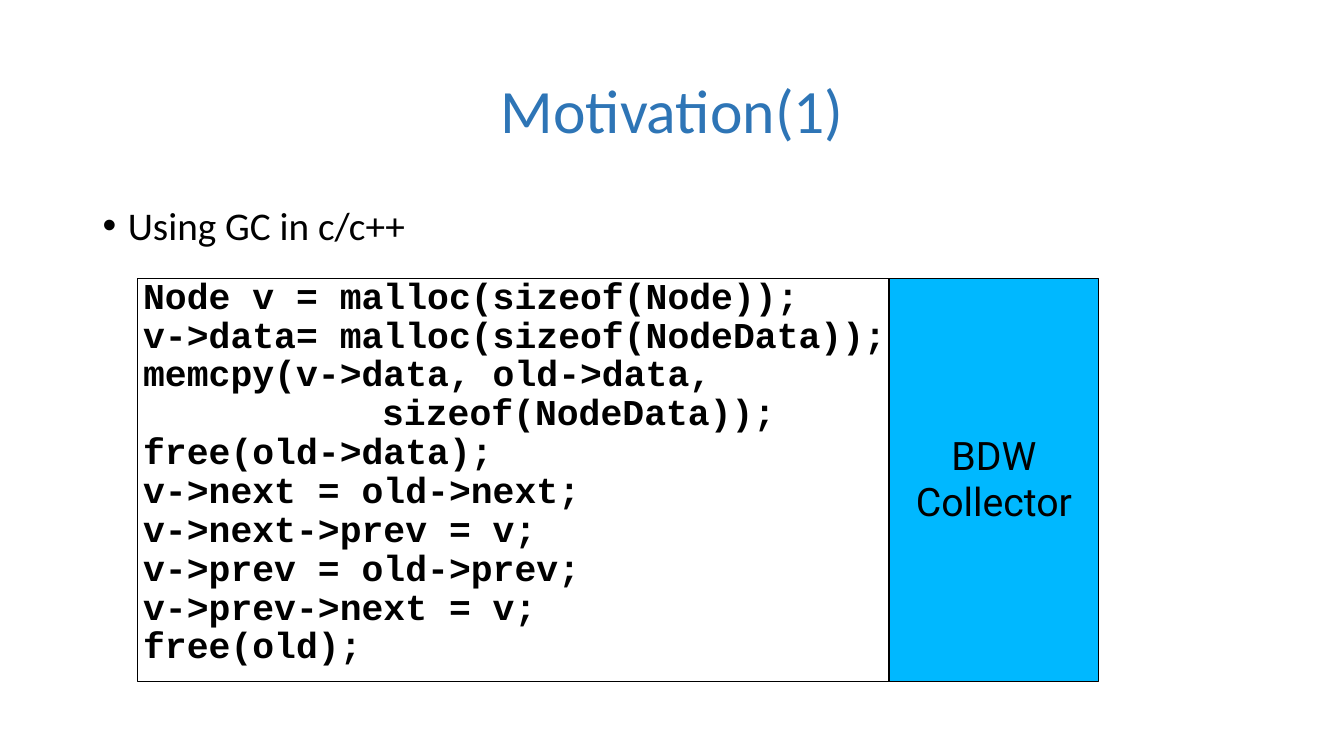
from lxml.etree import SubElement
from pptx import Presentation
from pptx.dml.color import RGBColor
from pptx.enum.shapes import MSO_SHAPE as Shape
from pptx.enum.text import MSO_ANCHOR as Anchor, PP_ALIGN as Align
from pptx.oxml.ns import qn
from pptx.util import Inches, Pt

COLORS = {"title": "2E75B6", "ink": "000000", "collector": "00B8FF"}
CODE = [
    "Node v = malloc(sizeof(Node));",
    "v->data= malloc(sizeof(NodeData));",
    "memcpy(v->data, old->data,",
    "\tsizeof(NodeData));",
    "free(old->data);",
    "v->next = old->next;",
    "v->next->prev = v;",
    "v->prev = old->prev;",
    "v->prev->next = v;",
    "free(old);",
]
CONTINUATION_INDENT = 2.37


def color(name):
    return RGBColor.from_string(COLORS[name])


def write(frame, lines, *, font="Calibri", size=28, ink="ink", bold=False,
          align=Align.LEFT, anchor=Anchor.TOP, spacing=0.9, before=0,
          bullet=None, insets=(0.1, 0.05, 0.1, 0.05)):
    frame.word_wrap = True
    frame.vertical_anchor = anchor
    (frame.margin_left, frame.margin_top,
     frame.margin_right, frame.margin_bottom) = map(Inches, insets)
    for index, line in enumerate(lines):
        para = frame.paragraphs[0] if index == 0 else frame.add_paragraph()
        para.alignment = align
        para.line_spacing = spacing
        para.space_before = Pt(before)
        properties = para._p.get_or_add_pPr()
        if line.startswith("\t"):
            properties.set("marL", str(Inches(CONTINUATION_INDENT)))
        if bullet:
            properties.set("marL", str(Inches(0.25)))
            properties.set("indent", str(Inches(-0.25)))
            SubElement(properties, qn("a:buFont"), typeface="Arial")
            SubElement(properties, qn("a:buChar"), char=bullet)
        span = para.add_run()
        span.text = line.strip()
        span.font.name = font
        span.font.size = Pt(size)
        span.font.bold = bold
        span.font.color.rgb = color(ink)


class Page:
    """Slide with shared style whose lengths are percentages of its size."""

    def __init__(self, deck):
        self.width, self.height = deck.slide_width, deck.slide_height
        self.shapes = deck.slides.add_slide(deck.slide_layouts[6]).shapes

    def place(self, left, top, width, height):
        return (int(self.width * left / 100), int(self.height * top / 100),
                int(self.width * width / 100), int(self.height * height / 100))

    def text(self, area, lines, **style):
        box = self.shapes.add_textbox(*self.place(*area))
        write(box.text_frame, lines, **style)

    def panel(self, area, lines, fill=None, **style):
        box = self.shapes.add_shape(Shape.RECTANGLE, *self.place(*area))
        box.shadow.inherit = False
        if fill:
            box.fill.solid()
            box.fill.fore_color.rgb = color(fill)
        else:
            box.fill.background()
        box.line.color.rgb = color("ink")
        box.line.width = Pt(0.75)
        write(box.text_frame, lines, **style)


def main():
    deck = Presentation()
    deck.slide_width, deck.slide_height = Inches(13.33), Inches(7.5)
    page = Page(deck)
    page.text((6.9, 5.33, 86.25, 19.33), ["Motivation(1)"], size=44,
              ink="title", align=Align.CENTER, anchor=Anchor.MIDDLE)
    page.text((6.9, 26.67, 86.25, 63.47), ["Using GC in c/c++"],
              before=10, bullet="•")
    page.panel((10.2, 36.8, 69.83, 53.33), CODE, font="Courier New", size=26,
               bold=True, spacing=0.89, insets=(0.06, 0, 0, 0))
    page.panel((66.15, 36.8, 15.6, 53.33), ["BDW", "Collector"],
               fill="collector", font="Roboto", align=Align.CENTER,
               anchor=Anchor.MIDDLE, spacing=0.98, insets=(0, 0, 0, 0))
    deck.save("out.pptx")


if __name__ == "__main__":
    main()
